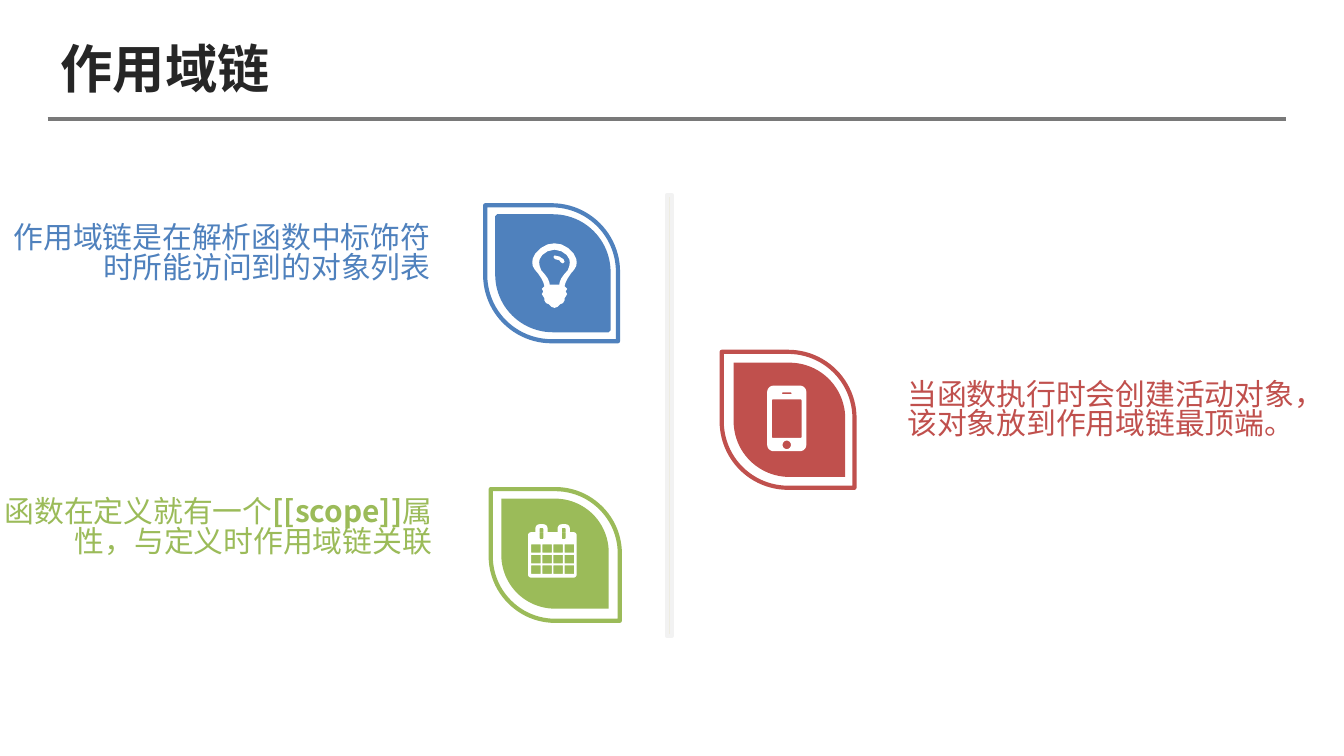
import math

import pptx
import pptx.dml.color
import pptx.enum.shapes
import pptx.enum.text
import pptx.oxml
import pptx.oxml.ns
import pptx.util

Cm = pptx.util.Cm
Pt = pptx.util.Pt
RGB = pptx.dml.color.RGBColor.from_string
SHAPE = pptx.enum.shapes.MSO_SHAPE
ALIGN = pptx.enum.text.PP_ALIGN

FONT = "Noto Sans CJK SC"
COLOURS = {
    "title": "262626", "rule": "797979", "divider": "EEECE1", "divider_edge": "F2F2F2",
    "blue": "4F81BD", "red": "C0504D", "green": "9BBB59", "white": "FFFFFF",
}


def add_text(slide, runs, *, box, size, colour, align=ALIGN.LEFT,
             insets=(0.25, 0.25), spacing=1.0):
    """Add a middle-anchored text box; runs are (text, bold) pairs."""
    shape = slide.shapes.add_textbox(*[Cm(value) for value in box])
    frame = shape.text_frame
    frame.word_wrap = True
    frame.vertical_anchor = pptx.enum.text.MSO_ANCHOR.MIDDLE
    frame.margin_left, frame.margin_right = [Cm(value) for value in insets]
    frame.margin_top = frame.margin_bottom = 0
    paragraph = frame.paragraphs[0]
    paragraph.alignment = align
    paragraph.line_spacing = spacing
    for text, bold in runs:
        run = paragraph.add_run()
        run.text = text
        run.font.size = Pt(size)
        run.font.bold = bold
        run.font.name = FONT
        run.font.color.rgb = RGB(COLOURS[colour])
        east_asian = pptx.oxml.parse_xml(
            f'<a:ea {pptx.oxml.ns.nsdecls("a")} typeface="{FONT}"/>')
        run.font._element.find(pptx.oxml.ns.qn("a:latin")).addnext(east_asian)


def rounded_box(left, top, width, height, radius=0, round_bottom=True):
    """Return the outline points of a box, clockwise from its left side."""
    right, bottom = left + width, top + height
    lower = radius if round_bottom else 0
    corners = [
        (left + radius, top + radius, radius, 180),
        (right - radius, top + radius, radius, 270),
        (right - lower, bottom - lower, lower, 0),
        (left + lower, bottom - lower, lower, 90),
    ]
    points = []
    for x, y, bend, start in corners:
        for angle in range(start, start + 91, 15) if bend else [start]:
            turn = math.radians(angle)
            points.append((x + bend * math.cos(turn), y + bend * math.sin(turn)))
    return points


# Icon outlines in centimetres; inner outlines become holes
bulb_centre = 10.48
bulb_halves = [
    [(0, 4.6), (0.13, 4.62), (0.26, 4.69), (0.36, 4.79), (0.41, 4.89), (0.42, 4.96),
     (0.41, 5.03), (0.37, 5.1), (0.31, 5.17), (0.25, 5.26), (0.21, 5.34), (0.19, 5.41),
     (0.24, 5.46), (0.21, 5.51), (0.24, 5.56), (0.19, 5.64), (0.19, 5.68), (0.16, 5.73),
     (0.11, 5.75), (0.06, 5.8), (0, 5.82)],
    [(0, 4.72), (0.13, 4.75), (0.23, 4.82), (0.28, 4.9), (0.29, 4.96), (0.28, 5.03),
     (0.25, 5.11), (0.18, 5.19), (0.13, 5.26), (0.1, 5.33), (0.09, 5.38)],
]
bulb = [
    [(bulb_centre + x, y) for x, y in half]
    + [(bulb_centre - x, y) for x, y in reversed(half)]
    for half in bulb_halves
]
bulb.append([(10.48, 4.83), (10.57, 4.85), (10.65, 4.9), (10.67, 4.95), (10.64, 4.98),
             (10.6, 4.96), (10.57, 4.92), (10.49, 4.9), (10.46, 4.86)])

phone = [
    rounded_box(14.5, 7.29, 0.74, 1.24, 0.12),
    rounded_box(14.59, 7.55, 0.56, 0.73, 0.02),
    rounded_box(14.78, 7.42, 0.18, 0.03, 0.01),
    rounded_box(14.79, 8.33, 0.16, 0.16, 0.08),
]

calendar = [rounded_box(9.98, 10.06, 0.92, 0.86, 0.06)]
for ring_left in (10.12, 10.54):
    calendar.append(rounded_box(ring_left, 9.91, 0.23, 0.15, 0.08, round_bottom=False))
    calendar.append(rounded_box(ring_left + 0.08, 9.98, 0.07, 0.21, 0.02))
for row in range(3):
    for column in range(4):
        calendar.append(rounded_box(10.04 + 0.21 * column, 10.29 + 0.2 * row, 0.18, 0.16))

presentation = pptx.Presentation()
presentation.slide_width, presentation.slide_height = Cm(25.4), Cm(14.29)
slide = presentation.slides.add_slide(presentation.slide_layouts[6])

rule = slide.shapes.add_connector(
    pptx.enum.shapes.MSO_CONNECTOR.STRAIGHT, Cm(0.9), Cm(2.25), Cm(24.3), Cm(2.25))
rule.line.color.rgb = RGB(COLOURS["rule"])
rule.line.width = Pt(2.25)
rule._element.spPr.append(
    pptx.oxml.parse_xml(f'<a:effectLst {pptx.oxml.ns.nsdecls("a")}/>'))
add_text(slide, [("作用域链", True)], box=(0.9, 0.59, 23.4, 1.37), size=28, colour="title")

divider = slide.shapes.add_shape(SHAPE.RECTANGLE, Cm(12.6), Cm(3.69), Cm(0.1), Cm(8.33))
divider.shadow.inherit = False
divider.fill.solid()
divider.fill.fore_color.rgb = RGB(COLOURS["divider"])
divider.line.color.rgb = RGB(COLOURS["divider_edge"])
divider.line.width = Pt(2)

# colour, outer leaf, inner leaf, inner line width, icon, text box, alignment, insets, runs
cards = [
    ("blue", (9.14, 3.91, 2.57, 2.51), (9.37, 4.11, 2.16, 2.11), 2, bulb,
     (0, 4.04, 9.14, 1.55), ALIGN.RIGHT, (0, 1),
     [("作用域链是在解析函数中标饰符时所能访问到的对象列表", False)]),
    ("red", (13.61, 6.68, 2.57, 2.51), (13.84, 6.88, 2.16, 2.11), 0, phone,
     (16.15, 7.01, 8.94, 1.52), ALIGN.LEFT, (1, 0.6),
     [("当函数执行时会创建活动对象，该对象放到作用域链最顶端。", False)]),
    ("green", (9.25, 9.27, 2.49, 2.44), (9.45, 9.45, 2.08, 2.03), 0, calendar,
     (0, 9.4, 9.17, 1.19), ALIGN.RIGHT, (0, 1),
     [("函数在定义就有一个", False), ("[[scope]]", True),
      ("属性，与定义时作用域链关联", False)]),
]

for colour, outer, inner, inner_line, icon, text_box, align, insets, runs in cards:
    for box, filled, line_width in ((outer, False, 2.25), (inner, True, inner_line)):
        leaf = slide.shapes.add_shape(
            SHAPE.ROUND_2_DIAG_RECTANGLE, *[Cm(value) for value in box])
        leaf.adjustments[0], leaf.adjustments[1] = 0.5, 0
        leaf.rotation = 270
        leaf.shadow.inherit = False
        if filled:
            leaf.fill.solid()
            leaf.fill.fore_color.rgb = RGB(COLOURS[colour])
        else:
            leaf.fill.background()
        if line_width:
            leaf.line.color.rgb = RGB(COLOURS[colour])
            leaf.line.width = Pt(line_width)
        else:
            leaf.line.fill.background()

    outlines = [[(Cm(x), Cm(y)) for x, y in outline] for outline in icon]
    builder = slide.shapes.build_freeform(*outlines[0][0])
    builder.add_line_segments(outlines[0][1:], close=True)
    for outline in outlines[1:]:
        builder.move_to(*outline[0])
        builder.add_line_segments(outline[1:], close=True)
    symbol = builder.convert_to_shape()
    symbol.shadow.inherit = False
    symbol.fill.solid()
    symbol.fill.fore_color.rgb = RGB(COLOURS["white"])
    symbol.line.fill.background()

    add_text(slide, runs, box=text_box, size=16, colour=colour,
             align=align, insets=insets, spacing=0.83)

presentation.save("out.pptx")
